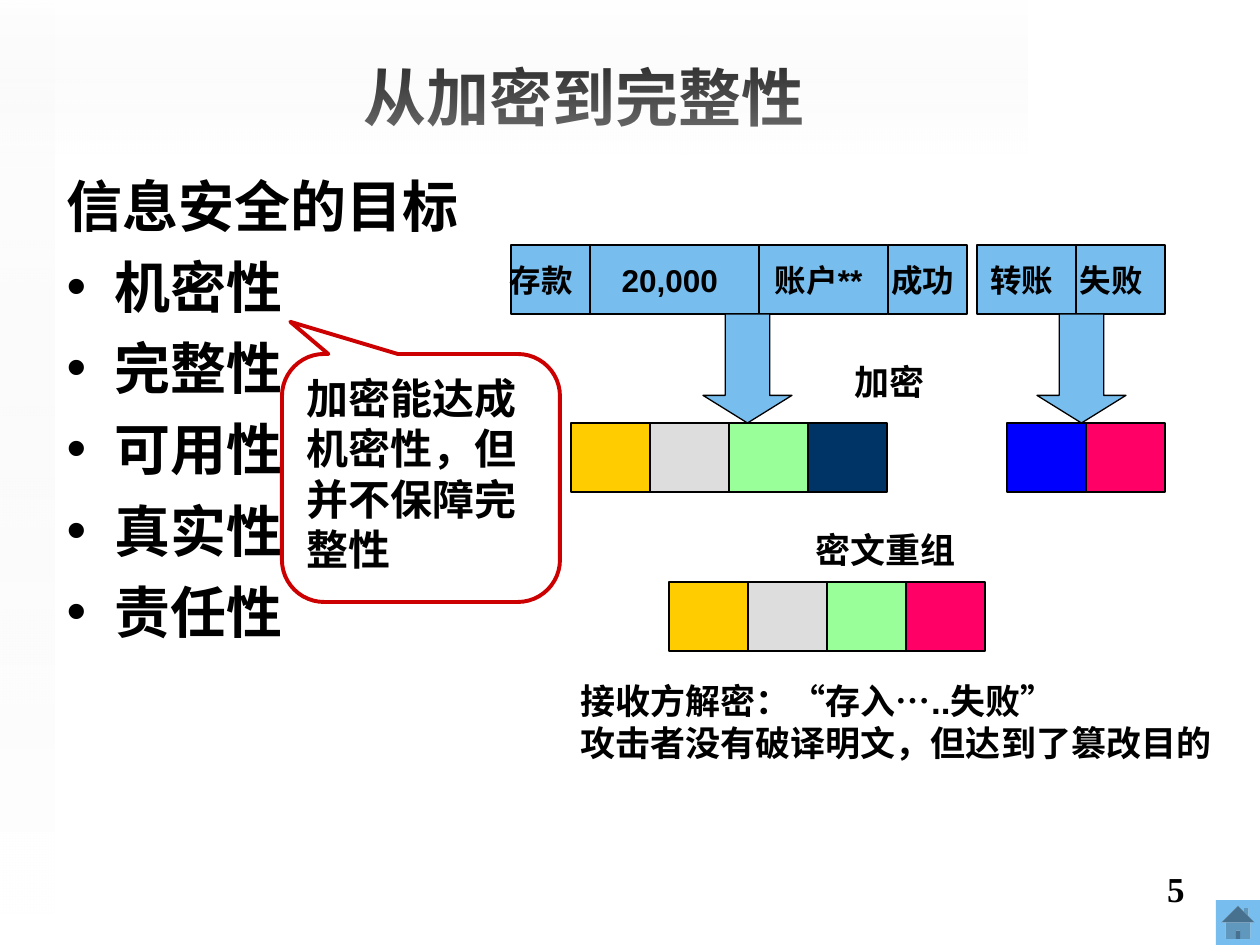
"""Builds the slide on the step from encryption to integrity."""
from pptx import Presentation, util as u
from pptx.dml.color import RGBColor
from pptx.enum import shapes, text
from pptx.oxml import parse_xml
from pptx.oxml.ns import nsdecls

EMU_PER_PX = 914400 / 126
SKY, BLACK, WHITE, RED = "77BDED", "000000", "FFFFFF", "CC0000"
GOLD, SILVER, MINT, NAVY, BLUE, PINK = "FFCC00", "DDDDDD", "99FF99", "003366", "0000FF", "FF0066"
BLOCK_WIDTH, CELL_HEIGHT, SPACE_WIDTH = 79, 69, 9
LEFT, CENTER, RIGHT = text.PP_ALIGN.LEFT, text.PP_ALIGN.CENTER, text.PP_ALIGN.RIGHT
TOP, MIDDLE = text.MSO_ANCHOR.TOP, text.MSO_ANCHOR.MIDDLE
Shape = shapes.MSO_SHAPE


def px(length):
    return u.Emu(round(length * EMU_PER_PX))


def color(value):
    return RGBColor.from_string(value)


class SlideBuilder:
    """Holds the text style and the current slide."""

    def __init__(self, slide, font="Arial"):
        self.slide = slide
        self.font = font

    def wording(self, shape, lines, size, align=LEFT, anchor=TOP, wrap=True, font=None):
        frame = shape.text_frame
        frame.text = "\n".join(lines)
        frame_format = {"word_wrap": wrap, "vertical_anchor": anchor,
                        "auto_size": text.MSO_AUTO_SIZE.NONE}
        for name, value in frame_format.items():
            setattr(frame, name, value)
        font_format = {"name": font or self.font, "size": u.Pt(size), "bold": True}
        for paragraph in frame.paragraphs:
            paragraph.alignment = align
            for run in paragraph.runs:
                for name, value in font_format.items():
                    setattr(run.font, name, value)
                run.font.color.rgb = color(BLACK)
        return frame

    def place(self, placeholder, box):
        for name, value in zip(("left", "top", "width", "height"), box):
            setattr(placeholder, name, px(value))

    def title(self, heading, box):
        self.place(self.slide.shapes.title, box)
        self.wording(self.slide.shapes.title, [heading], 36, CENTER, MIDDLE)

    def goals(self, heading, items, box):
        body = self.slide.placeholders[1]
        self.place(body, box)
        frame = self.wording(body, [heading, *items], 32)
        for index, paragraph in enumerate(frame.paragraphs):
            properties = paragraph._p.get_or_add_pPr()
            properties.set("marL", str(px(48)))
            properties.set("indent", str(px(-48)))
            bullet = '<a:buChar %s char="•"/>' if index else "<a:buNone %s/>"
            properties.append(parse_xml(bullet % nsdecls("a")))
            paragraph.space_before = u.Pt(8 if index else 0)

    def shape(self, kind, box, fill, line=BLACK, weight=0.75, adjustments=()):
        shape = self.slide.shapes.add_shape(kind, *map(px, box))
        shape.shadow.inherit = False
        shape.fill.solid()
        shape.fill.fore_color.rgb = color(fill)
        if line:
            shape.line.color.rgb = color(line)
            shape.line.width = u.Pt(weight)
        else:
            shape.line.fill.background()
        for index, value in enumerate(adjustments):
            shape.adjustments[index] = value
        return shape

    def haze(self, box, rotation, angle, opacity):
        band = self.shape(Shape.RECTANGLE, box, WHITE, line=None)
        band.rotation = rotation
        gradient = parse_xml(
            f'<a:gradFill {nsdecls("a")} rotWithShape="1"><a:gsLst>'
            '<a:gs pos="0"><a:srgbClr val="EAEAEA"><a:alpha val="0"/></a:srgbClr></a:gs>'
            f'<a:gs pos="100000"><a:srgbClr val="FFFFFF"><a:alpha val="{opacity * 1000}"/>'
            f'</a:srgbClr></a:gs></a:gsLst><a:lin ang="{angle * 60000}" scaled="0"/></a:gradFill>')
        properties = band._element.spPr
        solid = properties.find("{*}solidFill")
        properties.replace(solid, gradient)

    def message(self, left, fields):
        for field, width, shift in fields:
            cell = self.shape(Shape.RECTANGLE, (left, 245, width, CELL_HEIGHT), SKY)
            frame = self.wording(cell, [field], 18, CENTER, MIDDLE, wrap=False)
            frame.margin_right = px(13 + shift * SPACE_WIDTH)
            left += width

    def blocks(self, left, top, fills):
        for index, fill in enumerate(fills):
            box = (left + index * BLOCK_WIDTH, top, BLOCK_WIDTH, CELL_HEIGHT)
            self.shape(Shape.RECTANGLE, box, fill)

    def arrow(self, left):
        self.shape(Shape.DOWN_ARROW, (left, 314, 89, 109), SKY, adjustments=(0.5, 0.31))

    def callout(self, remark, box):
        bubble = self.shape(Shape.ROUNDED_RECTANGULAR_CALLOUT, box, WHITE, RED, 2.25,
                            (-0.47, -0.63, 0.17))
        self.wording(bubble, [remark], 24)

    def label(self, lines, box, align=LEFT, font=None):
        caption = self.slide.shapes.add_textbox(*map(px, box))
        self.wording(caption, lines, 20, align, font=font)


def main():
    deck = Presentation()
    deck.slide_width, deck.slide_height = px(1260), px(945)
    page = SlideBuilder(deck.slides.add_slide(deck.slide_layouts[1]))

    page.haze((436, -436, 155, 1027), 90, 0, 49)
    page.haze((0, 0, 54, 915), 180, 270, 65)
    page.shape(Shape.ACTION_BUTTON_HOME, (1216, 900, 44, 45), SKY, line=None)
    page.title("从加密到完整性", (34, 35, 1101, 122))
    page.goals("信息安全的目标", ["机密性", "完整性", "可用性", "真实性", "责任性"],
               (54, 165, 1091, 674))

    page.message(511, [("存款", 79, 2), ("20,000", 169, 1), ("账户**", 129, 1), ("成功", 79, 1)])
    page.message(977, [("转账", 99, 1), ("失败", 89, 2)])
    for left in (703, 1037):
        page.arrow(left)
    page.label(["加密"], (842, 354, 118, 55))
    page.blocks(571, 423, [GOLD, SILVER, MINT, NAVY])
    page.blocks(1007, 423, [BLUE, PINK])
    page.label(["密文重组"], (803, 522, 181, 55))
    page.blocks(669, 582, [GOLD, SILVER, MINT, PINK])
    page.label(["接收方解密：“存入…..失败”", "攻击者没有破译明文，但达到了篡改目的"],
               (568, 673, 672, 139))
    page.callout("加密能达成机密性，但并不保障完整性", (282, 354, 278, 248))
    page.label(["5"], (903, 861, 294, 66), RIGHT, "Times New Roman")
    deck.save("out.pptx")


if __name__ == "__main__":
    main()
